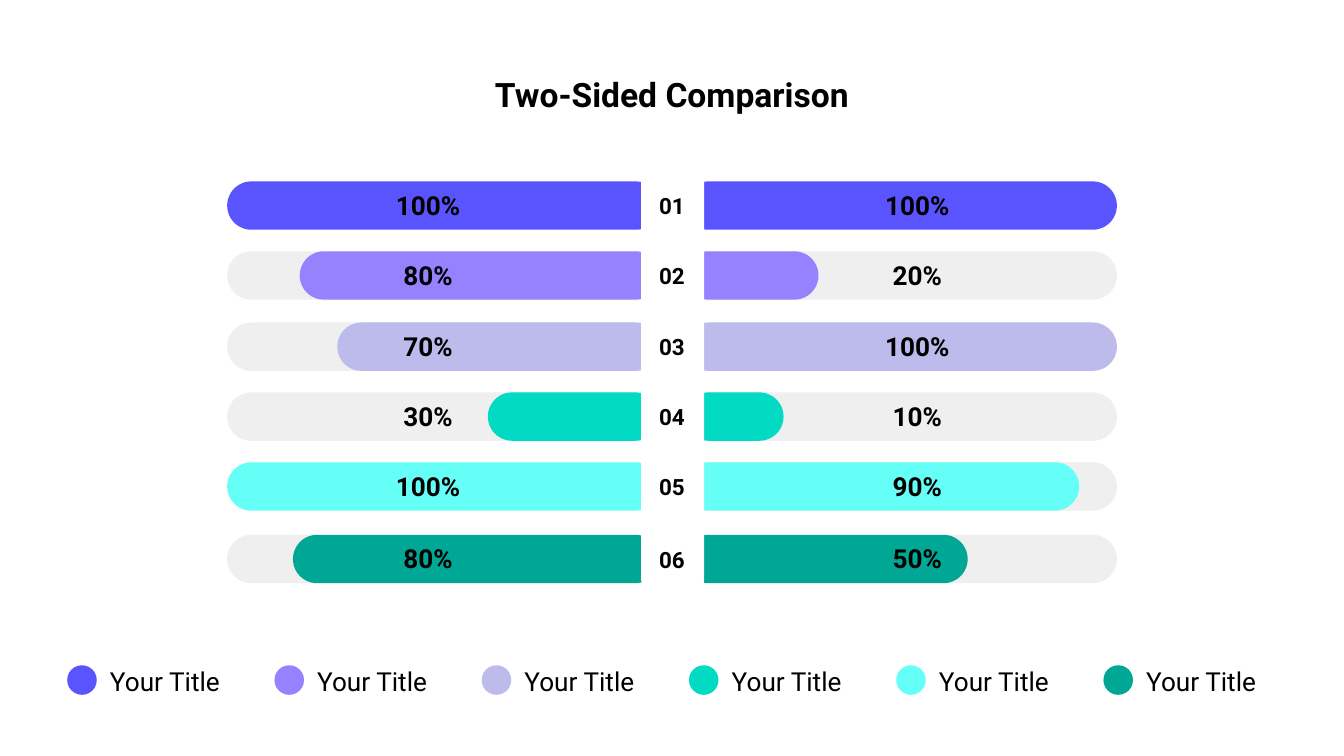
from dataclasses import dataclass

from pptx import Presentation
from pptx import util as u
from pptx.dml.color import RGBColor
from pptx.enum import shapes, text


@dataclass(frozen=True)
class Theme:
    font: str = "Roboto"
    ink: str = "000000"
    paper: str = "FFFFFF"
    track: str = "EFEFEF"
    hues: tuple = ("5A54FF", "9682FF", "BDBBEB", "03DAC4", "66FFF7", "00A794")
    title: int = 18
    body: int = 14
    small: int = 12


class Board:
    def __init__(self, slide, theme):
        self.slide = slide
        self.theme = theme

    def shape(self, kind, box, color):
        item = self.slide.shapes.add_shape(kind, *map(u.Inches, box))
        item.shadow.inherit = False
        item.fill.solid()
        item.fill.fore_color.rgb = RGBColor.from_string(color)
        item.line.fill.background()
        return item

    def pill(self, box, color):
        item = self.shape(shapes.MSO_SHAPE.ROUNDED_RECTANGLE, box, color)
        item.adjustments[0] = 0.5

    def dot(self, box, color):
        self.shape(shapes.MSO_SHAPE.OVAL, box, color)

    def label(self, box, words, size, bold=True, align=text.PP_ALIGN.CENTER,
              anchor=text.MSO_ANCHOR.MIDDLE):
        frame = self.slide.shapes.add_textbox(*map(u.Inches, box)).text_frame
        frame.word_wrap = True
        frame.vertical_anchor = anchor
        frame.margin_left = frame.margin_right = u.Inches(0.1)
        frame.margin_top = frame.margin_bottom = u.Inches(0.1)
        frame.text = words
        para = frame.paragraphs[0]
        para.alignment = align
        font = para.runs[0].font
        font.name = self.theme.font
        font.size = u.Pt(size)
        font.bold = bold
        font.color.rgb = RGBColor.from_string(self.theme.ink)


# Row top, then bar length and value on the left and on the right
ROWS = [
    (1.35, (3.22, "100%"), (3.22, "100%")),
    (1.87, (2.68, "80%"), (1.00, "20%")),
    (2.40, (2.40, "70%"), (3.22, "100%")),
    (2.92, (1.28, "30%"), (0.74, "10%")),
    (3.44, (3.22, "100%"), (2.94, "90%")),
    (3.98, (2.73, "80%"), (2.11, "50%")),
]
FULL, THICK = 3.22, 0.36
LEFT, RIGHT = 4.91, 5.09  # inner ends of the bars
FIRST, LAST = 0.5, 8.21  # first and last legend dot


def main():
    deck = Presentation()
    deck.slide_width = u.Inches(10)
    deck.slide_height = u.Inches(10 * 9 / 16)
    theme = Theme()
    board = Board(deck.slides.add_slide(deck.slide_layouts[6]), theme)

    # Bars with their tracks and values
    for (top, left, right), hue in zip(ROWS, theme.hues):
        for (size, value), is_left in ((right, False), (left, True)):
            spans = [(size, hue)]
            if size < FULL:
                spans.insert(0, (FULL, theme.track))
            for span, color in spans:
                start = LEFT - span if is_left else RIGHT
                board.pill((start, top, span, THICK), color)
            start = 2.54 if is_left else 6.18
            board.label((start, top + 0.05, 1.29, 0.25), value, theme.body)

    # Centre strip
    board.pill((4.77, 1.09, 0.47, 3.44), theme.paper)

    # Title
    board.label((0.5, 0.45, 9, 0.53), "Two-Sided Comparison", theme.title,
                anchor=text.MSO_ANCHOR.TOP)

    # Row numbers
    for num, (top, *_) in enumerate(ROWS, 1):
        board.label((4.7, top + 0.01, 0.6, 0.34), f"{num:02}", theme.small)

    # Legend
    step = (LAST - FIRST) / (len(theme.hues) - 1)
    for col, hue in enumerate(theme.hues):
        start = FIRST + col * step
        board.dot((start, 4.95, 0.22, 0.22), hue)
        board.label((start + 0.22, 4.94, 1.07, 0.25), "Your Title",
                    theme.body, bold=False, align=text.PP_ALIGN.LEFT)

    deck.save("out.pptx")


if __name__ == "__main__":
    main()
